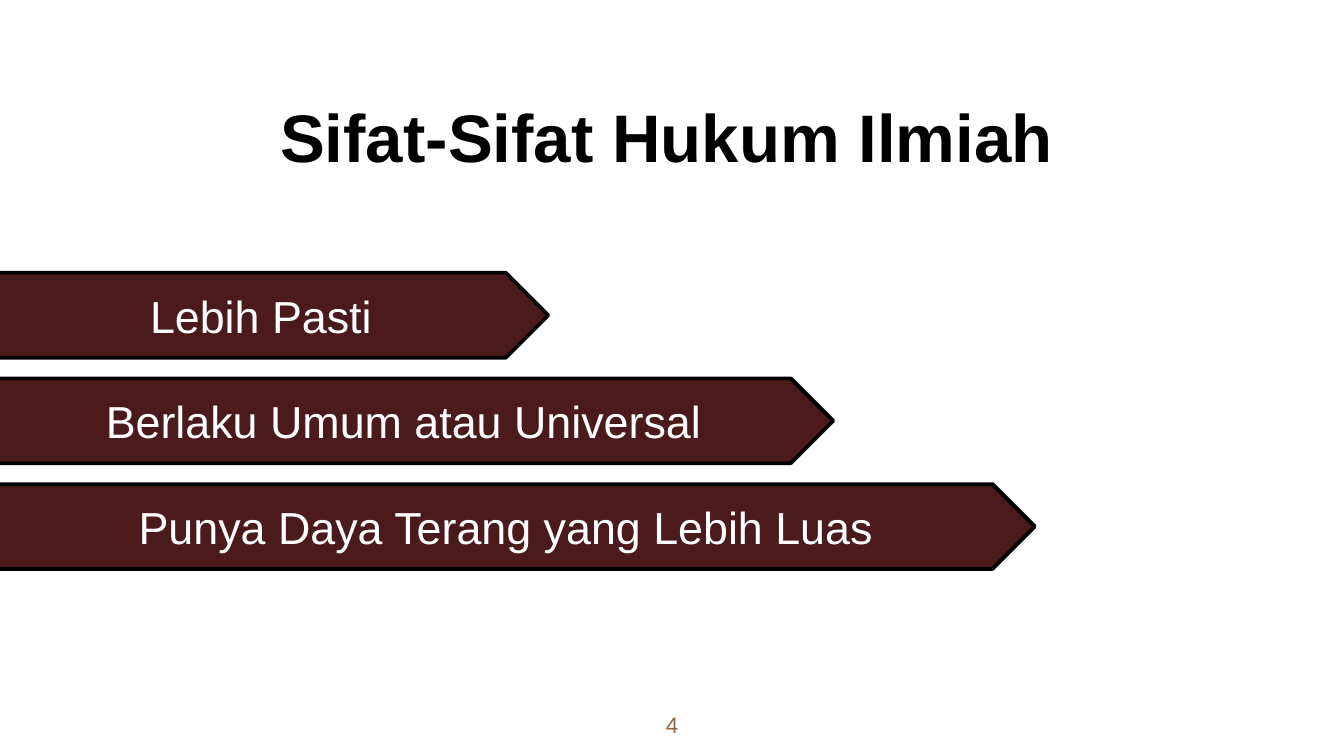
from pptx import Presentation
from pptx.dml.color import RGBColor
from pptx.enum.shapes import MSO_SHAPE
from pptx.enum.text import MSO_ANCHOR, MSO_AUTO_SIZE, PP_ALIGN
from pptx.util import Pt

PENTAGON = MSO_SHAPE.PENTAGON
CENTER = PP_ALIGN.CENTER
TOP, MIDDLE, BOTTOM = MSO_ANCHOR.TOP, MSO_ANCHOR.MIDDLE, MSO_ANCHOR.BOTTOM
NO_AUTOFIT = MSO_AUTO_SIZE.NONE

COLORS = {
    "title": "000000",
    "bar": "4B1A1A",
    "outline": "000000",
    "bar_text": "FFFFFF",
    "page_number": "926940",
}
FONT = "Arial"
TITLE_ONLY_LAYOUT = 5
INSET = 7.2
BAR_TOP, BAR_HEIGHT, BAR_PITCH = 146.2, 45.4, 56.6
BARS = [
    ("Lebih Pasti", -2.9, 296.6),
    ("Berlaku Umum atau Universal", -2.9, 449.3),
    ("Punya Daya Terang yang Lebih Luas", -1.4, 555.8),
]


def color(name):
    return RGBColor.from_string(COLORS[name])


def write_text(shape, text, size, color_name, anchor, bold=False, inset=INSET):
    frame = shape.text_frame
    frame.text = text
    frame.word_wrap = True
    frame.auto_size = NO_AUTOFIT
    frame.vertical_anchor = anchor
    frame.margin_left = frame.margin_right = Pt(INSET)
    frame.margin_top = frame.margin_bottom = Pt(inset)
    paragraph = frame.paragraphs[0]
    paragraph.alignment = CENTER
    font = paragraph.runs[0].font
    font.name = FONT
    font.size = Pt(size)
    font.bold = bold
    font.color.rgb = color(color_name)


def set_title(slide, text):
    title = slide.shapes.title
    title.left, title.top = Pt(70.6), Pt(10.1)
    title.width, title.height = Pt(573.1), Pt(91.4)
    write_text(title, text, 36, "title", BOTTOM, bold=True)


def add_page_number(slide, text):
    box = slide.shapes.add_textbox(Pt(338.4), Pt(373.7), Pt(43.2), Pt(31))
    write_text(box, text, 12, "page_number", TOP)


def add_bar(slide, text, left, top, width):
    bar = slide.shapes.add_shape(PENTAGON, Pt(left), Pt(top), Pt(width), Pt(BAR_HEIGHT))
    bar.shadow.inherit = False
    bar.fill.solid()
    bar.fill.fore_color.rgb = color("bar")
    bar.line.color.rgb = color("outline")
    bar.line.width = Pt(2)
    write_text(bar, text, 24, "bar_text", MIDDLE, inset=3.6)


def main():
    presentation = Presentation()
    presentation.slide_width, presentation.slide_height = Pt(720), Pt(405)
    slide = presentation.slides.add_slide(presentation.slide_layouts[TITLE_ONLY_LAYOUT])
    set_title(slide, "Sifat-Sifat Hukum Ilmiah")
    add_page_number(slide, "4")
    for index, (text, left, width) in enumerate(BARS):
        add_bar(slide, text, left, BAR_TOP + index * BAR_PITCH, width)
    presentation.save("out.pptx")


if __name__ == "__main__":
    main()
